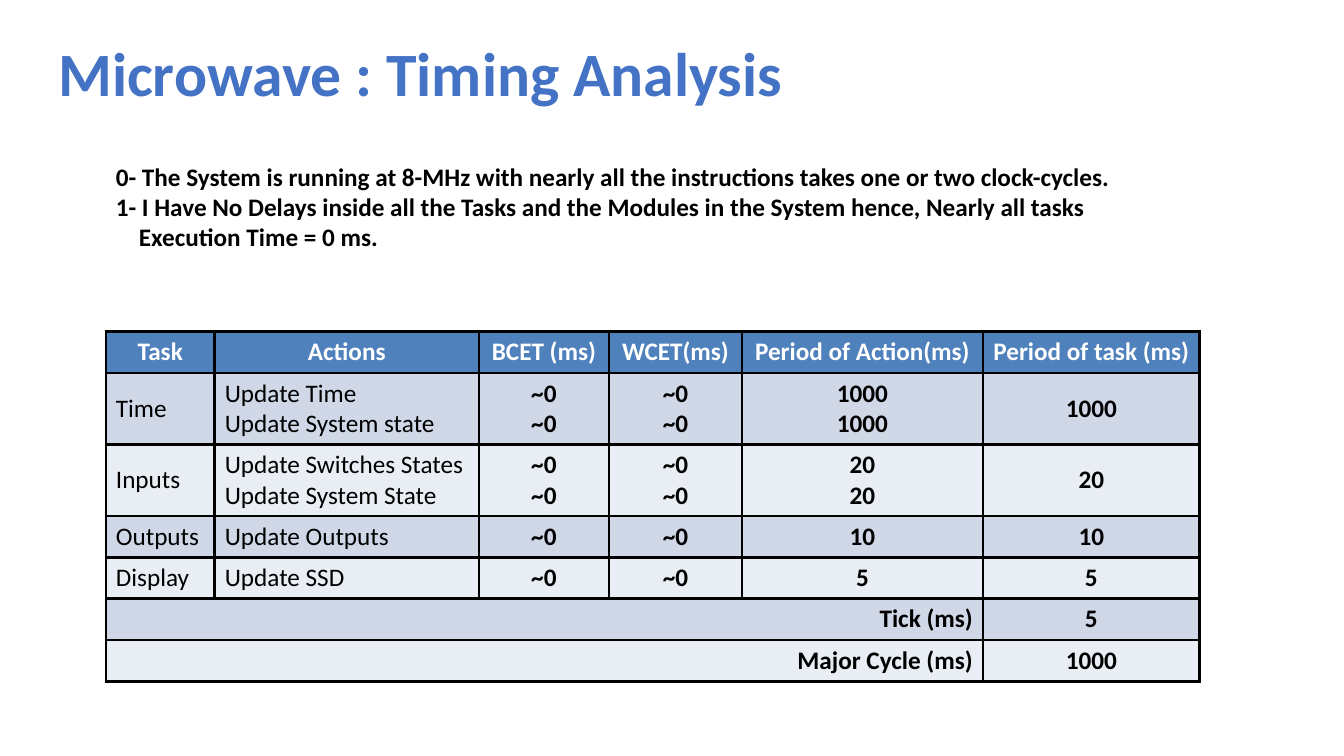
from lxml.etree import SubElement
from pptx import Presentation
from pptx.dml.color import RGBColor
from pptx.enum.text import MSO_ANCHOR, PP_ALIGN
from pptx.oxml.ns import qn
from pptx.util import Inches, Pt

COLORS = {
    "title": "4472C4",
    "header": "4F81BD",
    "band_dark": "D0D8E8",
    "band_light": "E9EDF4",
    "white": "FFFFFF",
    "black": "000000",
}
FONT = "Calibri"
BORDER_WIDTH = Pt(2.25)
COLUMN_WIDTHS = [1.08, 2.62, 1.29, 1.32, 2.39, 2.15]
ROW_HEIGHT = 0.41
EXTRA_LINE = 0.3

NOTES = [
    "0- The System is running at 8-MHz with nearly all the instructions takes one or two clock-cycles.",
    "1- I Have No Delays inside all the Tasks and the Modules in the System hence, Nearly all tasks",
]
NOTES_CONTINUED = "Execution Time = 0 ms."
HEADERS = ["Task", "Actions", "BCET (ms)", "WCET(ms)", "Period of Action(ms)", "Period of task (ms)"]
TASKS = [
    ("Time", ["Update Time", "Update System state"], "1000"),
    ("Inputs", ["Update Switches States", "Update System State"], "20"),
    ("Outputs", ["Update Outputs"], "10"),
    ("Display", ["Update SSD"], "5"),
]
TOTALS = [("Tick (ms)", "5"), ("Major Cycle (ms)", "1000")]


def write_text(frame, lines, size=18, color="black", bold=True, align=PP_ALIGN.LEFT):
    for index, line in enumerate(lines):
        paragraph = frame.paragraphs[0] if index == 0 else frame.add_paragraph()
        paragraph.alignment = align
        run = paragraph.add_run()
        run.text = line
        run.font.name = FONT
        run.font.size = Pt(size)
        run.font.bold = bold
        run.font.color.rgb = RGBColor.from_string(COLORS[color])


def add_text_box(slide, box, lines, anchor=MSO_ANCHOR.TOP, **text_format):
    frame = slide.shapes.add_textbox(*map(Inches, box)).text_frame
    frame.word_wrap = True
    frame.vertical_anchor = anchor
    write_text(frame, lines, **text_format)
    return frame


def add_title(slide, box):
    add_text_box(slide, box, ["Microwave : Timing Analysis"], MSO_ANCHOR.BOTTOM, size=44, color="title")


def add_notes(slide, box):
    frame = add_text_box(slide, box, NOTES + [NOTES_CONTINUED])
    frame.paragraphs[-1]._p.get_or_add_pPr().set("marL", str(Inches(0.23)))


def style_cell(cell, fill):
    properties = cell._tc.get_or_add_tcPr()
    for side in ("lnL", "lnR", "lnT", "lnB"):
        line = SubElement(properties, qn(f"a:{side}"), w=str(BORDER_WIDTH))
        solid = SubElement(line, qn("a:solidFill"))
        SubElement(solid, qn("a:srgbClr"), val=COLORS["black"])
    cell.fill.solid()
    cell.fill.fore_color.rgb = RGBColor.from_string(COLORS[fill])
    cell.vertical_anchor = MSO_ANCHOR.MIDDLE


def add_timing_table(slide, box):
    row_count = 1 + len(TASKS) + len(TOTALS)
    table = slide.shapes.add_table(row_count, len(HEADERS), *map(Inches, box)).table
    table.first_row = table.horz_banding = False
    last = len(HEADERS) - 1

    for column, width in zip(table.columns, COLUMN_WIDTHS):
        column.width = Inches(width)
    for index, row in enumerate(table.rows):
        row.height = Inches(ROW_HEIGHT)
        fill = "header" if index == 0 else ("band_light", "band_dark")[index % 2]
        for cell in row.cells:
            style_cell(cell, fill)

    for column, header in enumerate(HEADERS):
        write_text(table.cell(0, column).text_frame, [header], color="white", align=PP_ALIGN.CENTER)

    for index, (task, actions, period) in enumerate(TASKS, start=1):
        count = len(actions)
        table.rows[index].height = Inches(ROW_HEIGHT + EXTRA_LINE * (count - 1))
        values = [[task], actions, ["~0"] * count, ["~0"] * count, [period] * count, [period]]
        for column, lines in enumerate(values):
            is_value = column > 1
            write_text(table.cell(index, column).text_frame, lines, bold=is_value,
                       align=PP_ALIGN.CENTER if is_value else PP_ALIGN.LEFT)

    for index, (label, value) in enumerate(TOTALS, start=1 + len(TASKS)):
        label_cell = table.cell(index, 0)
        label_cell.merge(table.cell(index, last - 1))
        write_text(label_cell.text_frame, [label], align=PP_ALIGN.RIGHT)
        write_text(table.cell(index, last).text_frame, [value], align=PP_ALIGN.CENTER)


def main():
    presentation = Presentation()
    presentation.slide_width = Inches(13.33)
    presentation.slide_height = Inches(7.5)
    slide = presentation.slides.add_slide(presentation.slide_layouts[6])
    add_title(slide, (0.48, 0.1, 9, 1.03))
    add_timing_table(slide, (1.05, 3.29, 10.85, 3.43))
    add_notes(slide, (1.05, 1.55, 10.85, 1.31))
    presentation.save("out.pptx")


if __name__ == "__main__":
    main()
